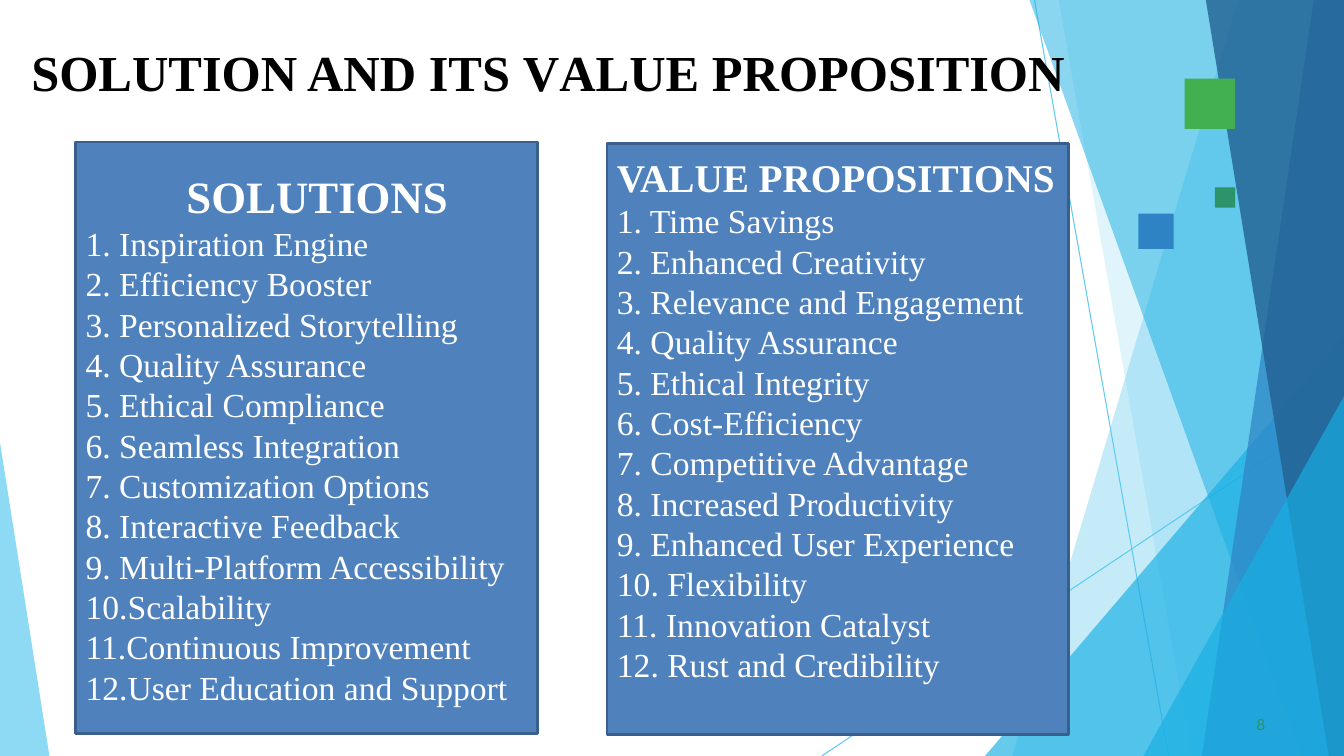
from lxml.etree import SubElement
from pptx import Presentation
from pptx.dml.color import RGBColor
from pptx.enum.shapes import MSO_CONNECTOR as Connector, MSO_SHAPE as Shape
from pptx.enum.text import MSO_ANCHOR as Anchor, MSO_AUTO_SIZE as AutoSize, PP_ALIGN as Align
from pptx.oxml.ns import qn
from pptx.util import Inches, Pt

WIDTH, HEIGHT = 13.33, 7.5
SKY = RGBColor(0x5F, 0xCA, 0xEE)
CYAN = RGBColor(0x17, 0xAF, 0xE3)
BLUE = RGBColor(0x2D, 0x83, 0xC3)
NAVY = RGBColor(0x22, 0x61, 0x92)
GREEN = RGBColor(0x42, 0xAF, 0x51)
TEAL = RGBColor(0x2D, 0x93, 0x6B)
PANEL = RGBColor(0x4F, 0x81, 0xBD)
PANEL_EDGE = RGBColor(0x3A, 0x5F, 0x8C)
WHITE = RGBColor(0xFF, 0xFF, 0xFF)
BLACK = RGBColor(0, 0, 0)
SERIF, SANS = "Times New Roman", "Lato"

TITLE = [("SOLUTION AND ITS ", 0), ("V", -300), ("ALUE PROPOSITION", 0)]
PAGE_NUMBER = "8"
PANELS = [
    {
        "heading": "SOLUTIONS", "size": 32, "indent": 1, "left": 0.75, "top": 1.41, "bottom_inset": 0.05,
        "items": [
            "1. Inspiration Engine", "2. Efficiency Booster", "3. Personalized Storytelling",
            "4. Quality Assurance", "5. Ethical Compliance", "6. Seamless Integration",
            "7. Customization Options", "8. Interactive Feedback", "9. Multi-Platform Accessibility",
            "10.Scalability", "11.Continuous Improvement", "12.User Education and Support",
        ],
    },
    {
        "heading": "VALUE PROPOSITIONS", "size": 28, "indent": 0, "left": 6.02, "top": 1.42, "bottom_inset": 0.45,
        "items": [
            "1. Time Savings", "2. Enhanced Creativity", "3. Relevance and Engagement",
            "4. Quality Assurance", "5. Ethical Integrity", "6. Cost-Efficiency",
            "7. Competitive Advantage", "8. Increased Productivity", "9. Enhanced User Experience",
            "10. Flexibility", "11. Innovation Catalyst", "12. Rust and Credibility",
        ],
    },
]
HAIRLINES = [(10.26, 0, 11.59, HEIGHT), (WIDTH, 4.04, 8.15, HEIGHT)]
RIGHT_BOTTOM = (WIDTH, HEIGHT)
FACETS = [
    (SKY, 36, [(WIDTH, 0), (12.28, 0), (10.04, HEIGHT), RIGHT_BOTTOM]),
    (SKY, 20, [(WIDTH, 0), (10.5, 0), (11.82, HEIGHT), RIGHT_BOTTOM]),
    (CYAN, 66, [(WIDTH, 3.33), (9.77, HEIGHT), RIGHT_BOTTOM]),
    (CYAN, 50, [(WIDTH, 0), (10.21, 0), (12.91, HEIGHT), RIGHT_BOTTOM]),
    (BLUE, 70, [(WIDTH, 0), (13.03, 0), (11.92, HEIGHT), RIGHT_BOTTOM]),
    (NAVY, 80, [(WIDTH, 0), (11.96, 0), (13.18, HEIGHT), RIGHT_BOTTOM]),
    (CYAN, 66, [(WIDTH, 3.93), (11.34, HEIGHT), RIGHT_BOTTOM]),
    (SKY, 70, [(0, 4.39), (0, HEIGHT), (0.49, HEIGHT)]),
]
SQUARES = [(GREEN, 11.75, 0.78, 0.5), (BLUE, 11.29, 2.12, 0.35), (TEAL, 12.05, 1.86, 0.2)]


def add_span(para, text, font, size, color, bold=False):
    span = para.add_run()
    span.text = text
    span.font.name, span.font.size, span.font.bold = font, Pt(size), bold
    span.font.color.rgb = color
    return span


def set_insets(frame, left, top, right, bottom):
    frame.margin_left, frame.margin_top = Inches(left), Inches(top)
    frame.margin_right, frame.margin_bottom = Inches(right), Inches(bottom)


def paint(shape, color):
    shape.shadow.inherit = False
    shape.fill.solid()
    shape.fill.fore_color.rgb = color
    shape.line.fill.background()


def add_hairline(page, ends):
    line = page.shapes.add_connector(Connector.STRAIGHT, *map(Inches, ends))
    line.line.color.rgb, line.line.width = SKY, Pt(0.75)
    SubElement(line._element.spPr, qn("a:effectLst"))


def add_facet(page, color, opacity, points):
    corners = [(Inches(x), Inches(y)) for x, y in points]
    builder = page.shapes.build_freeform(*corners[0])
    builder.add_line_segments(corners[1:], close=True)
    facet = builder.convert_to_shape()
    paint(facet, color)
    tone = facet._element.spPr.find(qn("a:solidFill"))[0]
    SubElement(tone, qn("a:alpha")).set("val", str(opacity * 1000))


def add_square(page, color, left, top, side):
    square = page.shapes.add_shape(Shape.RECTANGLE, *map(Inches, (left, top, side, side)))
    paint(square, color)


def place_title(page):
    title = page.shapes.title
    title.left, title.top, title.width, title.height = map(Inches, (0.17, 0.4, 10.68, 0.63))
    page.shapes._spTree.append(title._element)
    frame = title.text_frame
    frame.word_wrap, frame.auto_size, frame.vertical_anchor = True, AutoSize.NONE, Anchor.TOP
    set_insets(frame, 0.14, 0.01, 0, 0)
    para = frame.paragraphs[0]
    para.alignment, para.space_before = Align.LEFT, Pt(1.1)
    for text, spacing in TITLE:
        span = add_span(para, text, SERIF, 36, BLACK, True)
        span.font._element.set("spc", str(spacing))


def add_page_number(page):
    box = page.shapes.add_textbox(*map(Inches, (12.42, 7.08, 0.17, 0.21)))
    set_insets(box.text_frame, 0.04, 0.01, 0, 0)
    para = box.text_frame.paragraphs[0]
    para.space_before = Pt(0.6)
    add_span(para, PAGE_NUMBER, SANS, 11, TEAL)


def add_panel(page, panel):
    box = page.shapes.add_shape(Shape.RECTANGLE, *map(Inches, (panel["left"], panel["top"], 4.58, 5.87)))
    paint(box, PANEL)
    box.line.color.rgb, box.line.width = PANEL_EDGE, Pt(2)
    frame = box.text_frame
    frame.word_wrap, frame.vertical_anchor = True, Anchor.MIDDLE
    set_insets(frame, 0.1, 0.05, 0.1, panel["bottom_inset"])
    heading = frame.paragraphs[0]
    heading.alignment = Align.LEFT
    heading._p.get_or_add_pPr().set("marL", str(Inches(panel["indent"])))
    add_span(heading, panel["heading"], SERIF, panel["size"], WHITE, True)
    for item in panel["items"]:
        para = frame.add_paragraph()
        para.alignment = Align.LEFT
        add_span(para, item, SERIF, 24, WHITE)


def main():
    deck = Presentation()
    deck.slide_width, deck.slide_height = Inches(WIDTH), Inches(HEIGHT)
    page = deck.slides.add_slide(deck.slide_layouts[5])
    for ends in HAIRLINES:
        add_hairline(page, ends)
    for facet in FACETS:
        add_facet(page, *facet)
    for square in SQUARES:
        add_square(page, *square)
    place_title(page)
    add_page_number(page)
    for panel in PANELS:
        add_panel(page, panel)
    deck.save("out.pptx")


if __name__ == "__main__":
    main()
